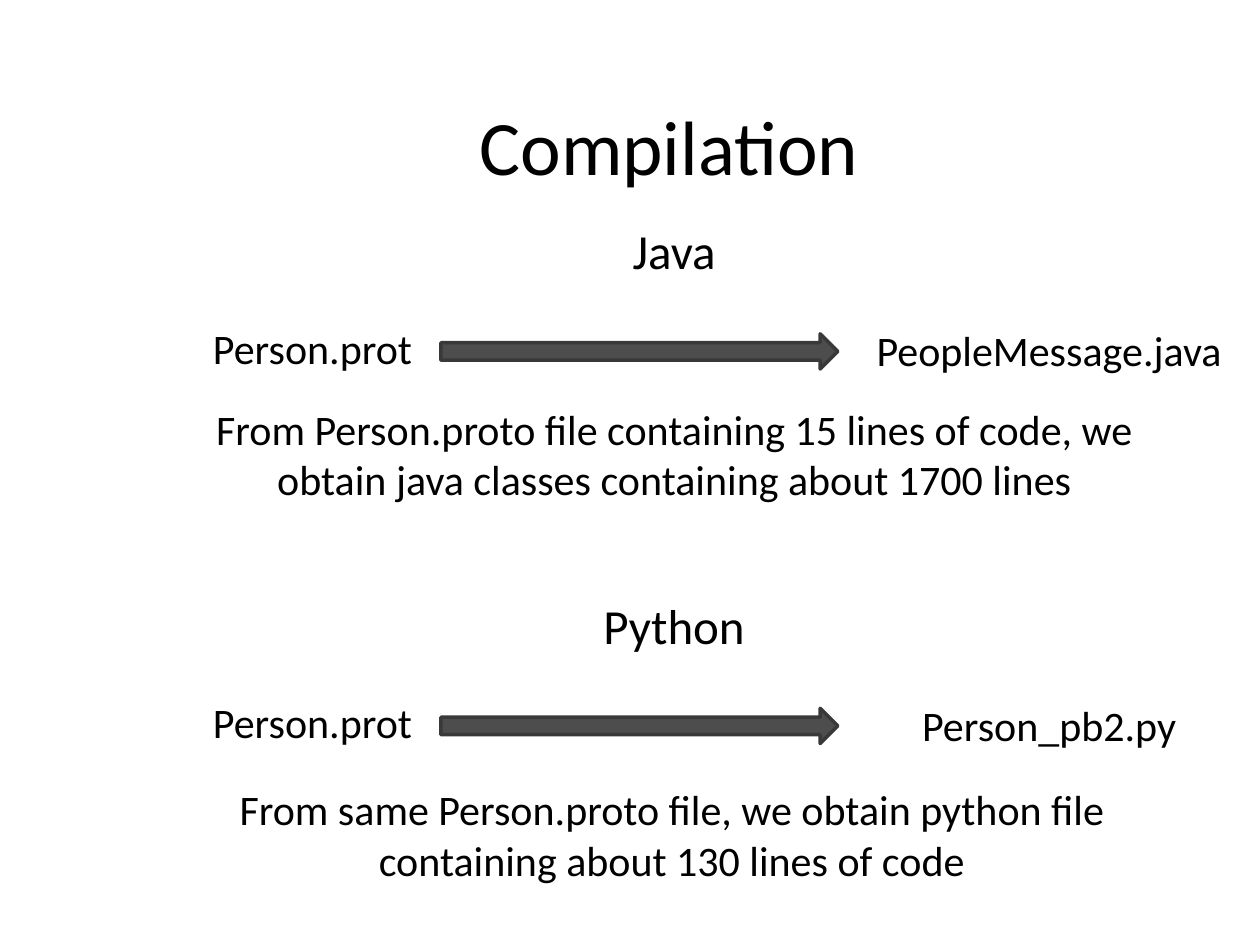
import pptx
import pptx.util
from lxml import etree
from pptx.dml.color import RGBColor
from pptx.enum.shapes import MSO_SHAPE
from pptx.enum.text import MSO_ANCHOR, MSO_AUTO_SIZE, PP_ALIGN
from pptx.oxml.ns import qn
from pptx.util import Cm

BLACK = RGBColor(0x00, 0x00, 0x00)
ARROW_FILL = RGBColor(0x4D, 0x4D, 0x4D)
ARROW_LINE = RGBColor(0x39, 0x39, 0x39)
FONT = "Calibri"

# Content: one section per target language; note is left, offset from section top
TITLE = "Compilation"
SECTIONS = [
    {"language": "Java", "source": "Person.prot", "result": "PeopleMessage.java",
     "note": "From Person.proto file containing 15 lines of code, "
             "we obtain java classes containing about 1700 lines",
     "note_at": (4.22, 3.68)},
    {"language": "Python", "source": "Person.prot", "result": "Person_pb2.py",
     "note": "From same Person.proto file, we obtain python file "
             "containing about 130 lines of code",
     "note_at": (4.17, 3.8)},
]

# Layout in centimetres
FIRST_TOP = 4.32
SECTION_PITCH = 7.55
LINE_HEIGHT = 1.4


def place(shape, left, top, width, height):
    shape.left, shape.top = Cm(left), Cm(top)
    shape.width, shape.height = Cm(width), Cm(height)


def write_text(shape, text, size=24, anchor=MSO_ANCHOR.TOP, right_inset=0):
    frame = shape.text_frame
    frame.word_wrap = True
    frame.auto_size = MSO_AUTO_SIZE.NONE
    frame.vertical_anchor = anchor
    frame.margin_left, frame.margin_right = Cm(0), Cm(right_inset)
    frame.margin_top = frame.margin_bottom = Cm(0.13)
    paragraph = frame.paragraphs[0]
    paragraph.alignment = PP_ALIGN.CENTER
    run = paragraph.add_run()
    run.text = text
    run.font.name = FONT
    run.font.size = pptx.util.Pt(size)
    run.font.color.rgb = BLACK
    # Proportional space before, no bullet and no indent
    properties = paragraph._p.get_or_add_pPr()
    properties.set("marL", "0")
    properties.set("indent", "0")
    space = etree.SubElement(properties, qn("a:spcBef"))
    etree.SubElement(space, qn("a:spcPct")).set("val", "20000")
    etree.SubElement(properties, qn("a:buNone"))


def add_text(slide, text, left, top, width, height=LINE_HEIGHT, **text_format):
    box = slide.shapes.add_textbox(Cm(left), Cm(top), Cm(width), Cm(height))
    write_text(box, text, **text_format)


def add_arrow(slide, left, top, width, height):
    arrow = slide.shapes.add_shape(
        MSO_SHAPE.RIGHT_ARROW, Cm(left), Cm(top), Cm(width), Cm(height))
    arrow.shadow.inherit = False
    arrow.fill.solid()
    arrow.fill.fore_color.rgb = ARROW_FILL
    arrow.line.color.rgb = ARROW_LINE
    arrow.line.width = pptx.util.Pt(2)


def main():
    presentation = pptx.Presentation()
    presentation.slide_width, presentation.slide_height = Cm(25.4), Cm(19.05)
    slide = presentation.slides.add_slide(presentation.slide_layouts[1])

    # Title
    title, body = slide.placeholders
    place(title, 2.11, 1.73, 23.01, 2.39)
    write_text(title, TITLE, size=44, anchor=MSO_ANCHOR.MIDDLE, right_inset=0.25)

    # Sections: heading, source file, arrow, generated file, note
    for index, section in enumerate(SECTIONS):
        top = FIRST_TOP + index * SECTION_PITCH
        heading_area = (2.11, top, 22.96, LINE_HEIGHT)
        if index == 0:
            place(body, *heading_area)
            write_text(body, section["language"], size=28)
        else:
            add_text(slide, section["language"], *heading_area, size=28)
        add_text(slide, section["source"], 3, top + 2.05, 6.6)
        add_arrow(slide, 8.89, top + 2.41, 8, 0.71)
        add_text(slide, section["result"], 17.15, top + 2.1, 8)
        note_left, note_offset = section["note_at"]
        add_text(slide, section["note"], note_left, top + note_offset, 18.75, 2.49)

    presentation.save("out.pptx")


if __name__ == "__main__":
    main()
